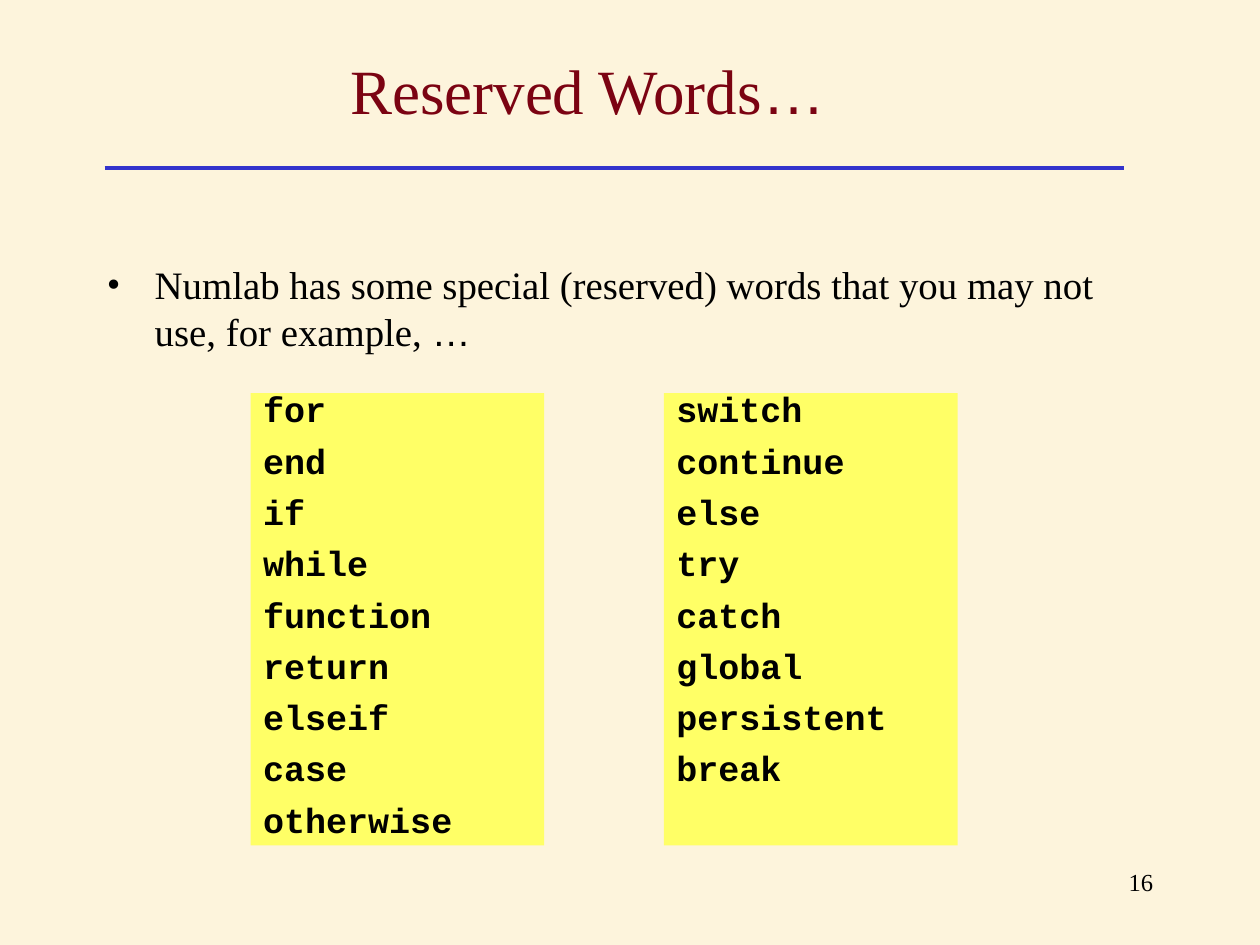
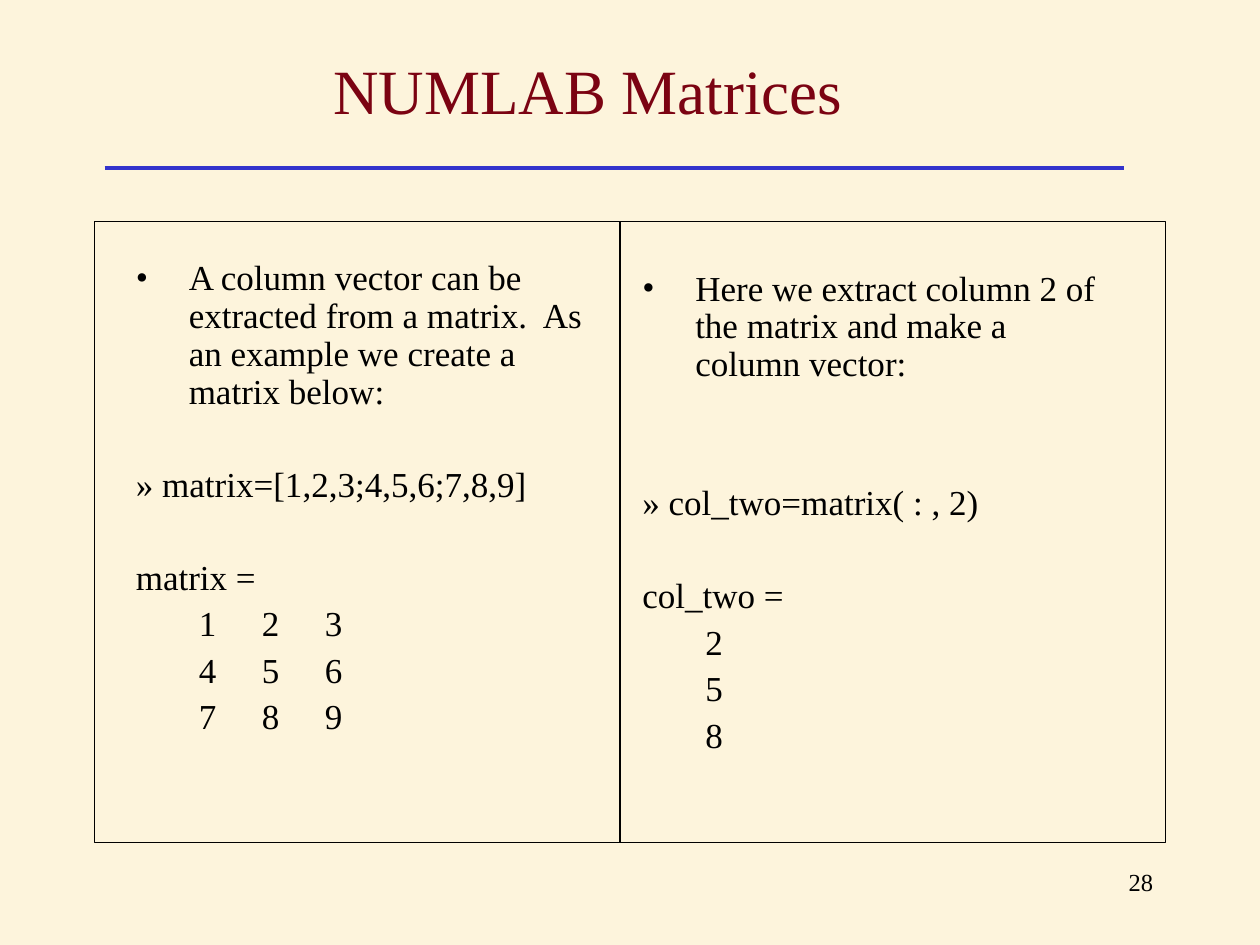
from dataclasses import dataclass

from lxml.etree import SubElement
from pptx import Presentation
from pptx.dml.color import RGBColor
from pptx.enum.shapes import MSO_CONNECTOR, MSO_SHAPE
from pptx.enum.text import MSO_ANCHOR, PP_ALIGN
from pptx.oxml.ns import qn
from pptx.util import Inches, Pt


@dataclass(frozen=True)
class Theme:
    background: RGBColor = RGBColor.from_string("FDF4DC")
    title: RGBColor = RGBColor.from_string("7B0312")
    rule: RGBColor = RGBColor.from_string("3333CC")
    ink: RGBColor = RGBColor.from_string("000000")
    highlight: RGBColor = RGBColor.from_string("FFFF66")
    serif: str = "Times New Roman"
    sans: str = "Arial"
    mono: str = "Courier New"
    title_size: float = 36
    intro_size: float = 22.2
    text_size: float = 20
    number_size: float = 14


THEME = Theme()


def add_line(frame, text, size, color=THEME.ink, font=THEME.serif,
             before=0, spacing=1.0):
    """Fill the empty first paragraph or append one; an ellipsis is set in sans."""
    line = frame.paragraphs[0]
    if line.runs:
        line = frame.add_paragraph()
    line.font.name, line.font.size = font, Pt(size)
    line.font.color.rgb = color
    line.space_before, line.line_spacing = Pt(before), spacing
    words = text.removesuffix("…")
    line.add_run().text = words
    if words != text:
        ellipsis = line.add_run()
        ellipsis.text = "…"
        ellipsis.font.name = THEME.sans
    return line


def set_indent(line, hang=0, bullet=False, stops=()):
    """Set a hanging indent, with an optional bullet and tab stops."""
    props = line._p.get_or_add_pPr()
    props.set("marL", str(Inches(hang)))
    props.set("indent", str(-Inches(hang)))
    if bullet:
        color = SubElement(props, qn("a:buClr"))
        SubElement(color, qn("a:srgbClr"), val=str(THEME.ink))
        SubElement(props, qn("a:buFont"), typeface=THEME.serif)
        SubElement(props, qn("a:buChar"), char="•")
    else:
        SubElement(props, qn("a:buNone"))
    if stops:
        tabs = SubElement(props, qn("a:tabLst"))
        for stop in stops:
            SubElement(tabs, qn("a:tab"), pos=str(Inches(stop)), algn="l")


prs = Presentation()
prs.slide_width, prs.slide_height = Inches(10), Inches(7.5)
background = prs.slide_master.background.fill
background.solid()
background.fore_color.rgb = THEME.background

# Shared frame: title, rule and slide number
slides = []
for heading, number in (("Reserved Words…", "16"), ("NUMLAB Matrices", "28")):
    slide = prs.slides.add_slide(prs.slide_layouts[6])
    slides.append(slide)

    rule = slide.shapes.add_connector(
        MSO_CONNECTOR.STRAIGHT, Inches(0.83), Inches(1.33), Inches(8.92), Inches(1.33))
    rule.line.color.rgb, rule.line.width = THEME.rule, Pt(2.25)
    SubElement(rule._element.spPr, qn("a:effectLst"))

    page = slide.shapes.add_textbox(
        Inches(7.17), Inches(6.83), Inches(2.08), Inches(0.5)).text_frame
    page.word_wrap = True
    add_line(page, number, THEME.number_size).alignment = PP_ALIGN.RIGHT

    title = slide.shapes.add_textbox(
        Inches(0.58), Inches(0.17), Inches(8.17), Inches(1.08)).text_frame
    title.word_wrap = True
    title.vertical_anchor = MSO_ANCHOR.MIDDLE
    add_line(title, heading, THEME.title_size, THEME.title).alignment = PP_ALIGN.CENTER

reserved, matrices = slides

# Reserved words: introduction
intro = reserved.shapes.add_textbox(
    Inches(0.75), Inches(2.02), Inches(8.5), Inches(0.86)).text_frame
intro.word_wrap = True
sentence = add_line(
    intro, "Numlab has some special (reserved) words that you may not use, "
    "for example, …", THEME.intro_size, before=6)
set_indent(sentence, 0.38, bullet=True)

# Reserved words: two highlighted keyword lists
keyword_lists = (
    (1.99, "for end if while function return elseif case otherwise"),
    (5.27, "switch continue else try catch global persistent break"),
)
for left, keywords in keyword_lists:
    panel = reserved.shapes.add_shape(
        MSO_SHAPE.RECTANGLE, Inches(left), Inches(3.12), Inches(2.33), Inches(3.59))
    panel.shadow.inherit = False
    panel.fill.solid()
    panel.fill.fore_color.rgb = THEME.highlight
    panel.line.fill.background()
    panel.text_frame.vertical_anchor = MSO_ANCHOR.TOP
    for keyword in keywords.split():
        entry = add_line(panel.text_frame, keyword, THEME.text_size,
                         font=THEME.mono, before=12.5, spacing=0.7)
        entry.font.bold = True
        entry.alignment = PP_ALIGN.LEFT
        set_indent(entry, 0.38)

# Matrices: each column holds an explanation, a command and its result
GAP, BLANK_LINE = 5, 26.5
columns = (
    (0.98, 2.02, 3.94, 1,
     "A column vector can be extracted from a matrix.  As an example we create "
     "a matrix below:",
     "» matrix=[1,2,3;4,5,6;7,8,9]", "matrix =", ("123", "456", "789")),
    (5, 2.1, 3.93, 2,
     "Here we extract column 2 of the matrix and make a column vector:",
     "» col_two=matrix( : , 2)", "col_two =", "258"),
)
for left, top, width, blanks, explanation, command, result, rows in columns:
    column = matrices.shapes.add_textbox(
        Inches(left), Inches(top), Inches(width), Inches(4.4)).text_frame
    column.word_wrap = True
    point = add_line(column, explanation, THEME.text_size, before=GAP, spacing=0.9)
    set_indent(point, 0.42, bullet=True)
    for text, skipped in ((command, blanks), (result, 1)):
        output = add_line(column, text, THEME.text_size,
                          before=GAP + skipped * BLANK_LINE, spacing=0.9)
        set_indent(output, 0.42)
    for row in rows:
        values = add_line(column, "\t" + "\t".join(row), THEME.text_size,
                          before=GAP, spacing=0.9)
        set_indent(values, stops=(0.35, 0.83, 1.32))

# Matrices: outlines around the two columns
for left, width in ((0.75, 4.17), (4.92, 4.33)):
    outline = matrices.shapes.add_shape(
        MSO_SHAPE.RECTANGLE, Inches(left), Inches(1.76), Inches(width), Inches(4.93))
    outline.shadow.inherit = False
    outline.fill.background()
    outline.line.color.rgb, outline.line.width = THEME.ink, Pt(0.75)

prs.save("out.pptx")
